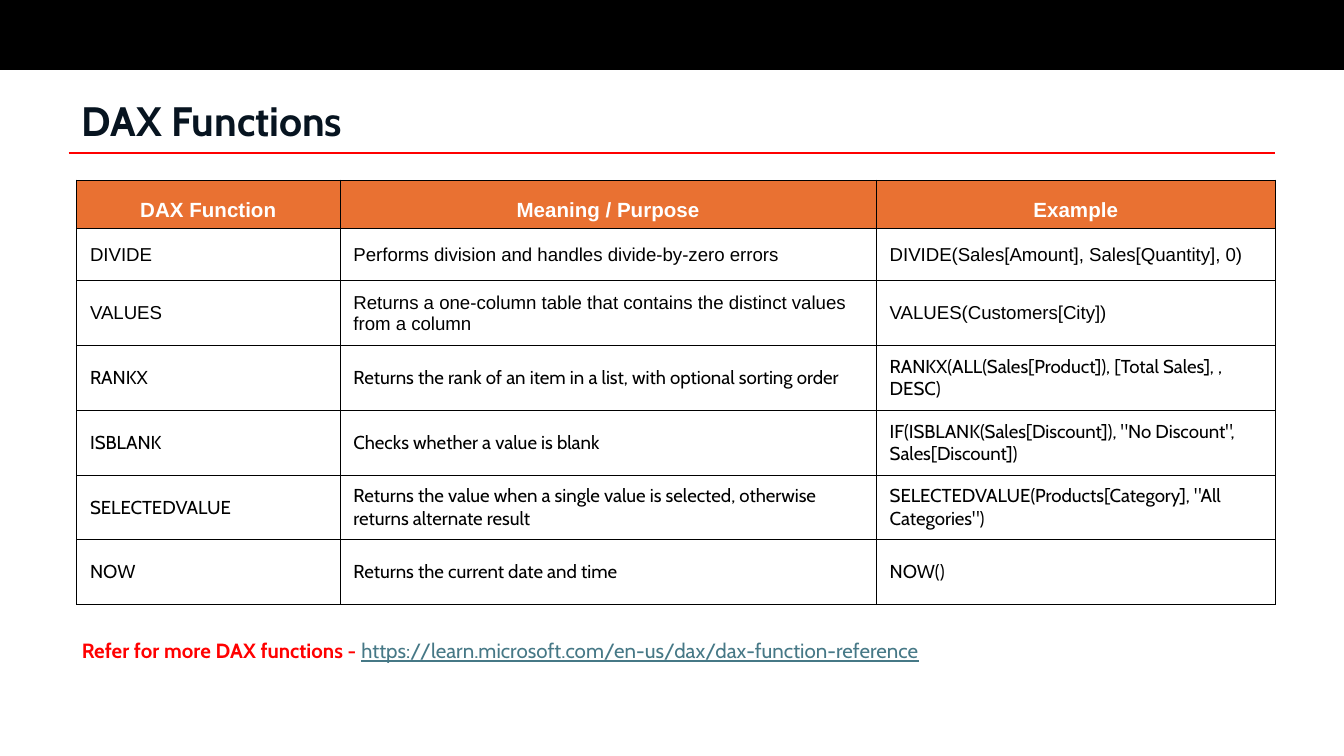
import pptx
import pptx.dml.color
import pptx.enum.shapes
import pptx.enum.text
import pptx.oxml
import pptx.oxml.ns
import pptx.util
from dataclasses import dataclass

Inches = pptx.util.Inches
ALIGN = pptx.enum.text.PP_ALIGN
ANCHOR = pptx.enum.text.MSO_ANCHOR


@dataclass(frozen=True)
class Theme:
    black: str = "000000"
    white: str = "FFFFFF"
    red: str = "FF0000"
    ink: str = "071420"
    orange: str = "E97132"
    link: str = "467886"
    main_font: str = "Cabin"
    table_font: str = "Arial"
    title_size: float = 22
    head_size: float = 11
    cell_size: float = 10
    note_size: float = 11
    border: float = 0.5


THEME = Theme()
SLIDE_W = 10
SLIDE_H = SLIDE_W * 9 / 16
COLS = (1.96, 3.99, 2.97)
TABLE_H, HEAD_H, FIRST_H = 3.16, 0.36, 0.39
# The five lower rows share the remaining height
ROWS = (HEAD_H, FIRST_H) + ((TABLE_H - HEAD_H - FIRST_H) / 5,) * 5
HEADS = ("DAX Function", "Meaning / Purpose", "Example")
# Each entry: font, then the three cells
FUNCTIONS = (
    (THEME.table_font, "DIVIDE", "Performs division and handles divide-by-zero errors",
     "DIVIDE(Sales[Amount], Sales[Quantity], 0)"),
    (THEME.table_font, "VALUES",
     "Returns a one-column table that contains the distinct values from a column",
     "VALUES(Customers[City])"),
    (THEME.main_font, "RANKX",
     "Returns the rank of an item in a list, with optional sorting order",
     "RANKX(ALL(Sales[Product]), [Total Sales], , DESC)"),
    (THEME.main_font, "ISBLANK", "Checks whether a value is blank",
     'IF(ISBLANK(Sales[Discount]), "No Discount", Sales[Discount])'),
    (THEME.main_font, "SELECTEDVALUE",
     "Returns the value when a single value is selected, otherwise returns alternate result",
     'SELECTEDVALUE(Products[Category], "All Categories")'),
    (THEME.main_font, "NOW", "Returns the current date and time", "NOW()"),
)


def rgb(value):
    return pptx.dml.color.RGBColor.from_string(value)


def add_run(p, text, font, size, color, bold=False, underline=False):
    r = p.add_run()
    r.text = text
    r.font.name = font
    r.font.size = pptx.util.Pt(size)
    r.font.color.rgb = rgb(color)
    r.font.bold = bold
    r.font.underline = underline


def set_borders(cell):
    tc_pr = cell._tc.get_or_add_tcPr()
    for i, side in enumerate(("lnL", "lnR", "lnT", "lnB")):
        ln = pptx.oxml.parse_xml(
            f'<a:{side} {pptx.oxml.ns.nsdecls("a")} w="{pptx.util.Pt(THEME.border)}">'
            f'<a:solidFill><a:srgbClr val="{THEME.black}"/></a:solidFill></a:{side}>')
        tc_pr.insert(i, ln)


def add_banner(slide, x, y, w, h):
    sp = slide.shapes.add_shape(pptx.enum.shapes.MSO_SHAPE.RECTANGLE,
                                Inches(x), Inches(y), Inches(w), Inches(h))
    sp.shadow.inherit = False
    sp.fill.solid()
    sp.fill.fore_color.rgb = rgb(THEME.black)
    sp.line.fill.background()


def add_title(slide, x, y, w, h):
    sp = slide.shapes.title
    sp.left, sp.top, sp.width, sp.height = (Inches(v) for v in (x, y, w, h))
    tf = sp.text_frame
    tf.word_wrap = True
    tf.auto_size = pptx.enum.text.MSO_AUTO_SIZE.NONE
    tf.vertical_anchor = ANCHOR.BOTTOM
    p = tf.paragraphs[0]
    p.alignment = ALIGN.LEFT
    p.line_spacing = 0.9
    add_run(p, "DAX Functions", THEME.main_font, THEME.title_size, THEME.ink, bold=True)

    # Rule under the title
    rule_y = Inches(y + h + 0.01)
    rule = slide.shapes.add_connector(pptx.enum.shapes.MSO_CONNECTOR.STRAIGHT,
                                      Inches(x), rule_y, Inches(x + w), rule_y)
    rule.line.color.rgb = rgb(THEME.red)
    rule.line.width = pptx.util.Pt(1)
    rule._element.spPr.append(pptx.oxml.parse_xml(
        f'<a:effectLst {pptx.oxml.ns.nsdecls("a")}/>'))


def fill_cell(cell, text, font, header):
    cell.vertical_anchor = ANCHOR.MIDDLE
    if header:
        cell.fill.solid()
        cell.fill.fore_color.rgb = rgb(THEME.orange)
    else:
        cell.fill.background()
    set_borders(cell)
    p = cell.text_frame.paragraphs[0]
    if header:
        p.alignment = ALIGN.CENTER
        p.line_spacing = 1.5
        add_run(p, text, font, THEME.head_size, THEME.white, bold=True)
    else:
        add_run(p, text, font, THEME.cell_size, THEME.black)


def add_function_table(slide, x, y, w, h):
    rows = ((THEME.table_font, *HEADS),) + FUNCTIONS
    table = slide.shapes.add_table(len(rows), len(COLS), Inches(x), Inches(y),
                                   Inches(w), Inches(h)).table
    table.horz_banding = False
    for col, width in zip(table.columns, COLS):
        col.width = Inches(width)
    for row, height in zip(table.rows, ROWS):
        row.height = Inches(height)
    for i, (font, *texts) in enumerate(rows):
        for j, text in enumerate(texts):
            fill_cell(table.cell(i, j), text, font, header=i == 0)


def add_reference(slide, x, y, w, h):
    tf = slide.shapes.add_textbox(Inches(x), Inches(y), Inches(w), Inches(h)).text_frame
    tf.word_wrap = True
    tf.auto_size = pptx.enum.text.MSO_AUTO_SIZE.SHAPE_TO_FIT_TEXT
    p = tf.paragraphs[0]
    add_run(p, "Refer for more DAX functions - ", THEME.main_font, THEME.note_size,
            THEME.red, bold=True)
    add_run(p, "https://learn.microsoft.com/en-us/dax/dax-function-reference",
            THEME.main_font, THEME.note_size, THEME.link, underline=True)


def main():
    prs = pptx.Presentation()
    prs.slide_width, prs.slide_height = Inches(SLIDE_W), Inches(SLIDE_H)
    slide = prs.slides.add_slide(prs.slide_layouts[5])  # Title Only
    add_banner(slide, 0, 0, SLIDE_W, 0.52)
    add_title(slide, 0.51, 0.61, 8.98, 0.52)
    add_function_table(slide, 0.57, 1.34, sum(COLS), TABLE_H)
    add_reference(slide, 0.51, 4.7, 8.98, 0.29)
    prs.save("out.pptx")


if __name__ == "__main__":
    main()
